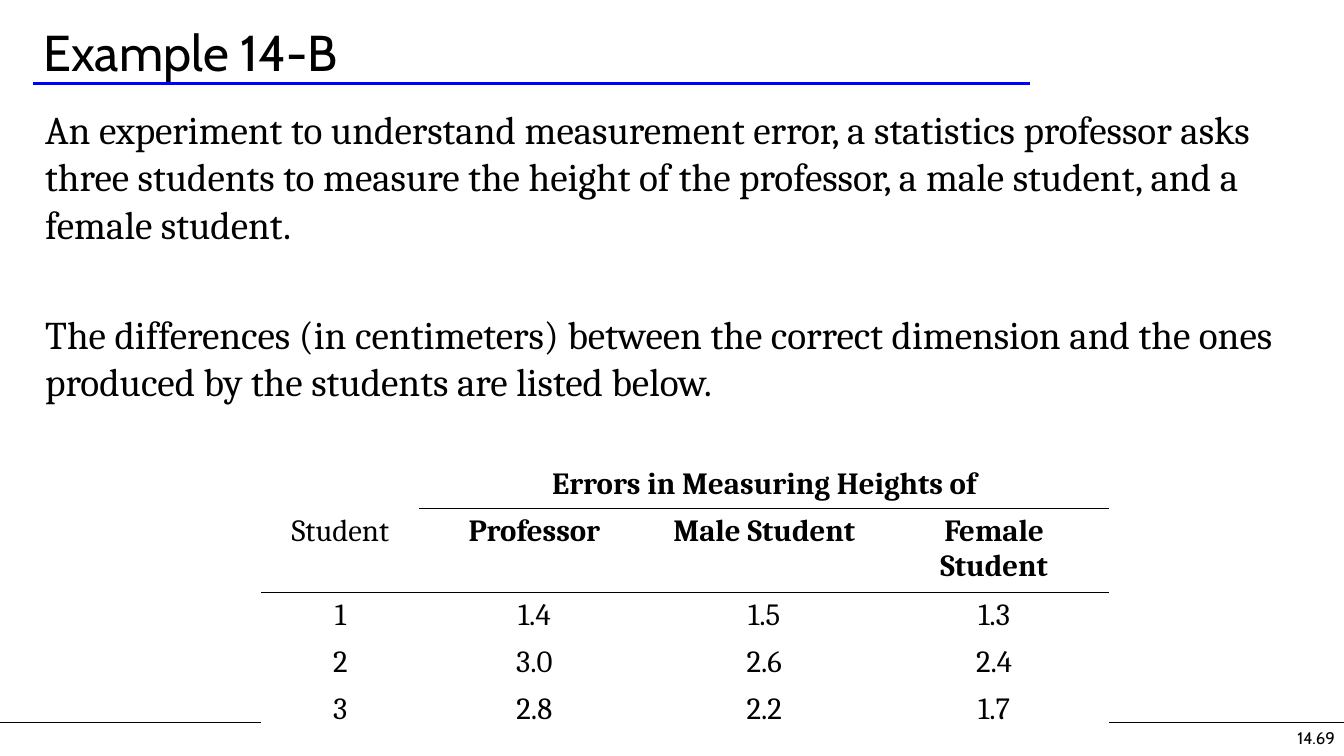
import pptx
import pptx.util
import pptx.dml.color
import pptx.enum.text
import pptx.enum.shapes
import pptx.oxml
import pptx.oxml.ns
from lxml import etree

Inches = pptx.util.Inches
Pt = pptx.util.Pt
ALIGN = pptx.enum.text.PP_ALIGN
ANCHOR = pptx.enum.text.MSO_ANCHOR
HUES = {"ink": "000000", "rule": "0000FF", "paper": "FFFFFF"}


def rgb(name):
    return pptx.dml.color.RGBColor.from_string(HUES[name])


def style(para, face, size, bold=False, align=ALIGN.LEFT):
    para.font.name = face
    para.font.size = Pt(size)
    para.font.bold = bold
    para.font.color.rgb = rgb("ink")
    para.alignment = align


deck = pptx.Presentation()
deck.slide_width = Inches(13.33)
deck.slide_height = Inches(7.5)
slide = deck.slides.add_slide(deck.slide_layouts[5])

# Rules under the title and above the page number
for left, right, y, hue, width in [
    (0, 13.33, 7.17, "ink", 0.75),
    (0.33, 10.22, 0.83, "rule", 2.5),
]:
    line = slide.shapes.add_connector(
        pptx.enum.shapes.MSO_CONNECTOR.STRAIGHT,
        Inches(left), Inches(y), Inches(right), Inches(y))
    line.line.color.rgb = rgb(hue)
    line.line.width = Pt(width)
    etree.SubElement(line._element.spPr, pptx.oxml.ns.qn("a:effectLst"))

# Title
title = slide.shapes.title
title.left, title.top = Inches(0.33), Inches(0.17)
title.width, title.height = Inches(12.78), Inches(0.67)
title.text_frame.text = "Example 14-B"
title.text_frame.vertical_anchor = ANCHOR.MIDDLE
style(title.text_frame.paragraphs[0], "Cabin", 36)

# Page number
page = slide.shapes.add_textbox(Inches(10.56), Inches(7.17), Inches(2.78), Inches(0.33))
page.text_frame.word_wrap = True
page.text_frame.text = "14.69"
style(page.text_frame.paragraphs[0], "Cabin", 12, align=ALIGN.RIGHT)

# Body text
body = slide.shapes.add_textbox(Inches(0.35), Inches(1), Inches(12.98), Inches(3.3))
body.text_frame.word_wrap = True
body.text_frame.text = (
    "An experiment to understand measurement error, a statistics professor asks "
    "three students to measure the height of the professor, a male student, and "
    "a female student.\n"
    "The differences (in centimeters) between the correct dimension and the ones "
    "produced by the students are listed below.")
for para, gap in zip(body.text_frame.paragraphs, (0, 45)):
    style(para, "Cambria", 28)
    para.space_before = Pt(gap)

# Table of errors
rows = [
    ["", "Errors in Measuring Heights of", "", ""],
    ["Student", "Professor", "Male Student", "Female Student"],
    ["1", "1.4", "1.5", "1.3"],
    ["2", "3.0", "2.6", "2.4"],
    ["3", "2.8", "2.2", "1.7"],
]
widths = [1.57, 2.28, 2.28, 2.28]
heights = [0.45, 0.8, 0.45, 0.45, 0.45]
frame = slide.shapes.add_table(
    len(rows), len(widths), Inches(2.59), Inches(4.58),
    Inches(sum(widths)), Inches(sum(heights)))
table = frame.table
table.first_row = table.horz_banding = False
for col, width in zip(table.columns, widths):
    col.width = Inches(width)
for row, height in zip(table.rows, heights):
    row.height = Inches(height)
table.cell(0, 1).merge(table.cell(0, 3))

for r, row in enumerate(rows):
    for c, text in enumerate(row):
        cell = table.cell(r, c)
        if not cell.is_spanned:
            cell.text = text
        style(cell.text_frame.paragraphs[0], "Cambria", 22,
              bold=r < 2 and c > 0, align=ALIGN.CENTER)

        # Black edges below the two heading rows, none elsewhere
        edges = {
            "lnL": False,
            "lnR": False,
            "lnT": r == 2 or (r == 1 and c > 0),
            "lnB": r == 1 or (r == 0 and c > 0),
        }
        props = cell._tc.get_or_add_tcPr()
        for tag, drawn in edges.items():
            edge = etree.SubElement(props, pptx.oxml.ns.qn("a:" + tag),
                                    w=str(Pt(1) if drawn else 0))
            kind = "a:solidFill" if drawn else "a:noFill"
            paint = etree.SubElement(edge, pptx.oxml.ns.qn(kind))
            if drawn:
                etree.SubElement(paint, pptx.oxml.ns.qn("a:srgbClr"), val=HUES["ink"])
        cell.fill.solid()
        cell.fill.fore_color.rgb = rgb("paper")

deck.save("out.pptx")
